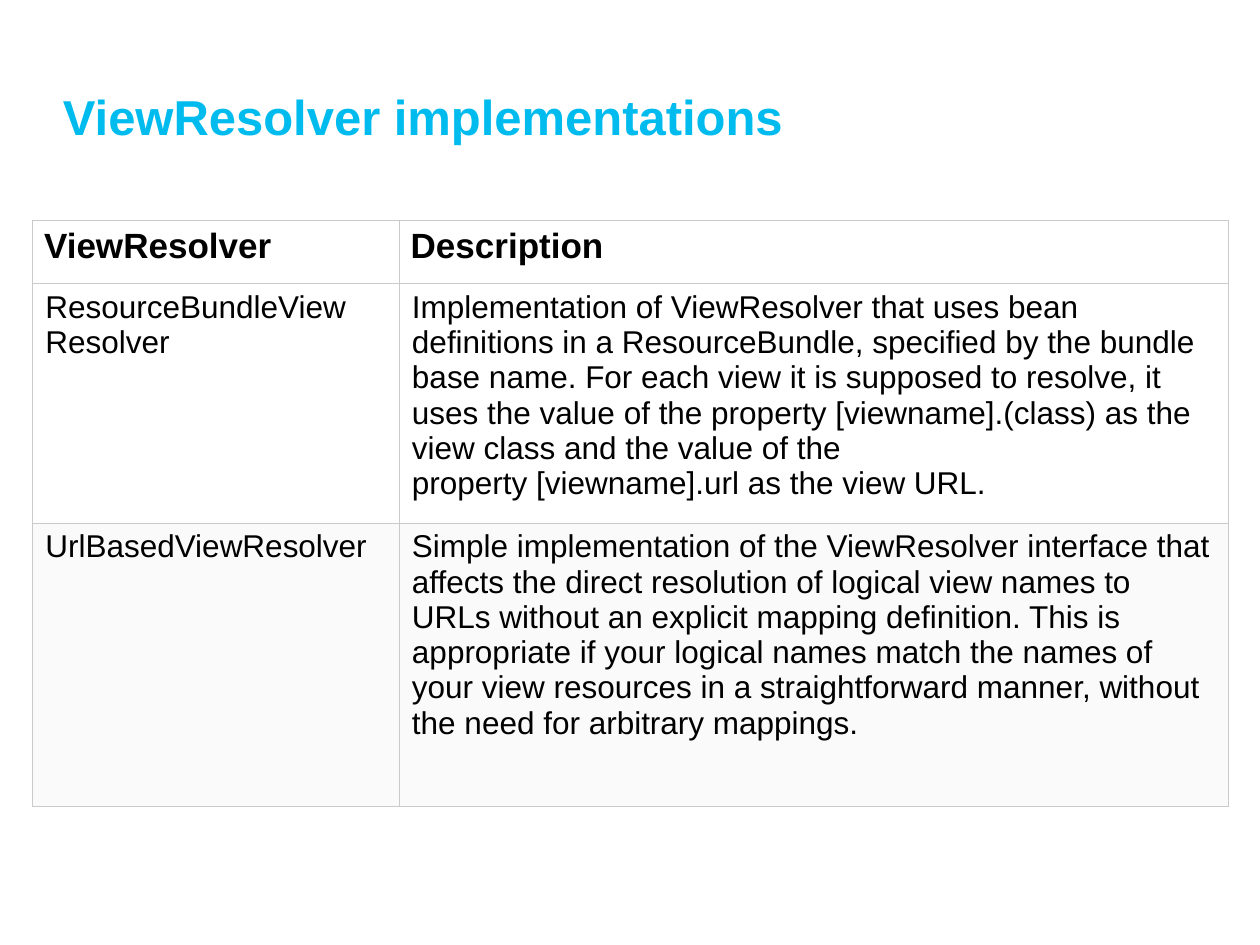
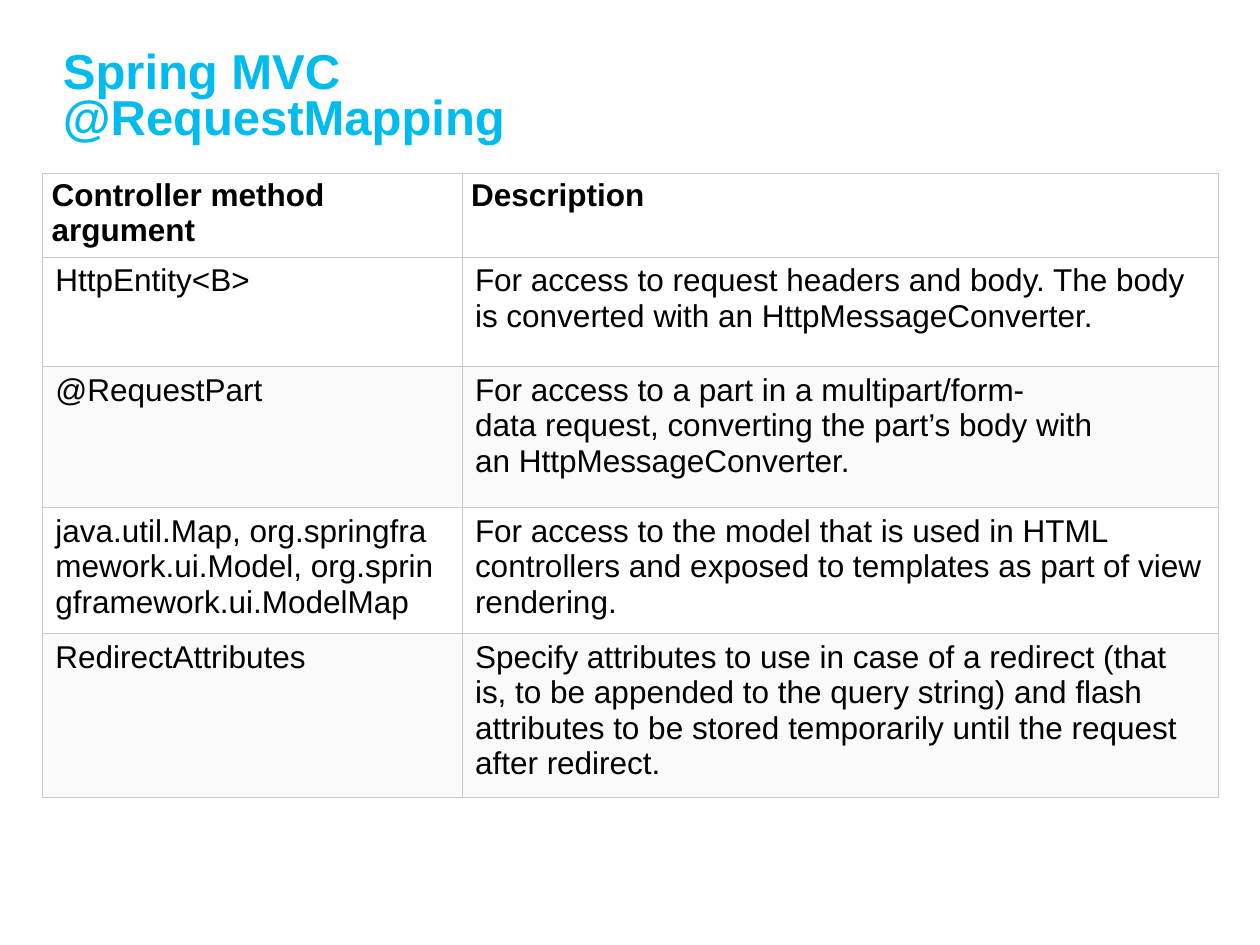
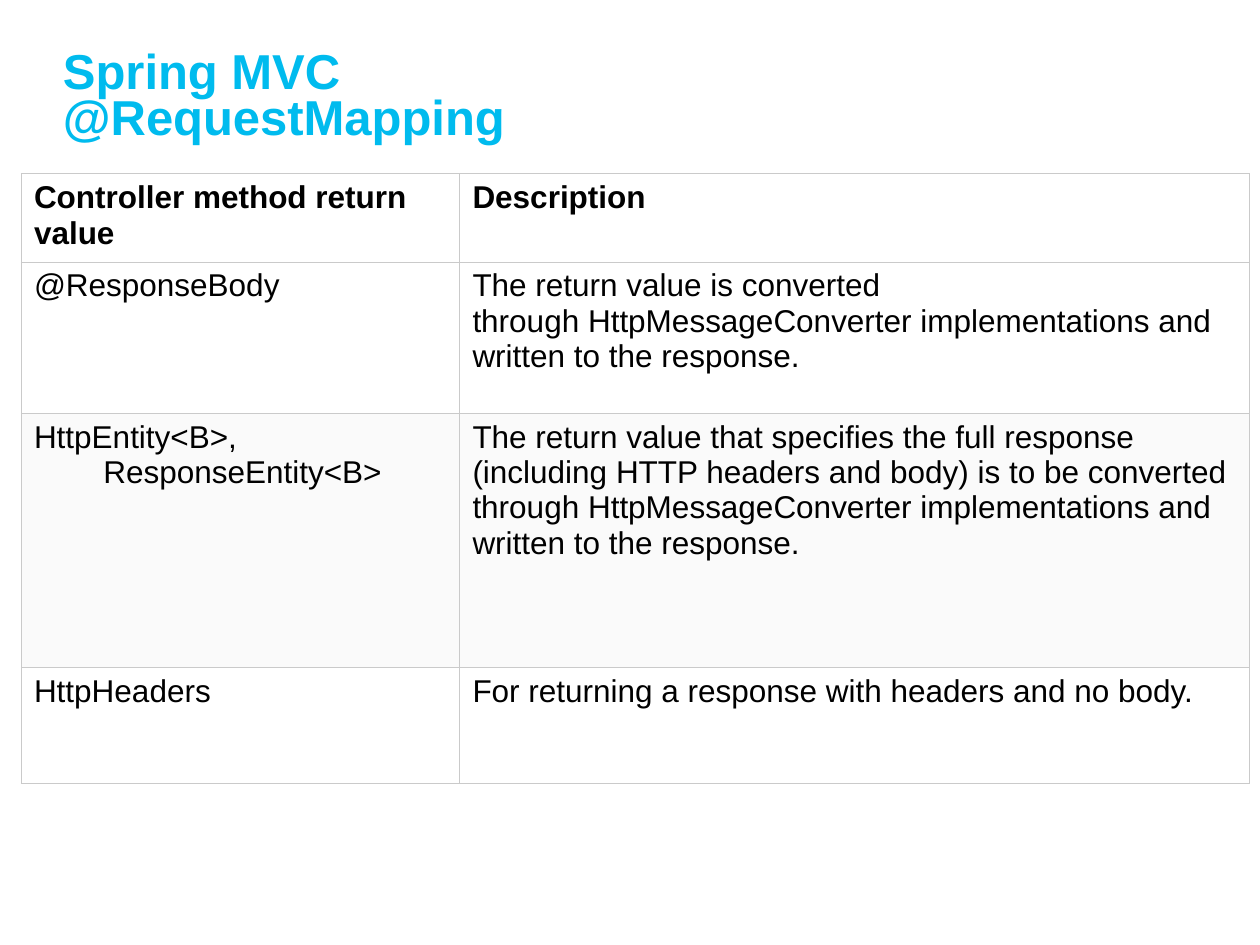
from dataclasses import dataclass

from lxml import etree
from pptx import Presentation
from pptx.dml.color import RGBColor
from pptx.enum.text import MSO_ANCHOR
from pptx.oxml.ns import qn
from pptx.util import Inches, Pt

BOTTOM = MSO_ANCHOR.BOTTOM
BORDER_SIDES = ("a:lnL", "a:lnR", "a:lnT", "a:lnB")
TIE = "~"
NO_BREAK_SPACE = chr(160)


@dataclass(frozen=True)
class Theme:
    font: str = "Arial"
    title_color: str = "00BBEE"
    text_color: str = "000000"
    plain_row: str = "FFFFFF"
    banded_row: str = "FAFAFA"
    border_color: str = "CACACA"
    border_width: float = 0.6
    title_size: int = 28
    title_spacing: int = 26
    body_size: int = 18
    body_margins: tuple = (0.1, 0.05)
    hanging_indent: float = 0.55


THEME = Theme()
SLIDE_SIZE = (10, 7.5)
TITLE_BOX = (0.5, 0.2, 9, 0.95)

SLIDES = [
    {
        "title": "ViewResolver implementations",
        "corner": (0.26, 1.75),
        "columns": (2.91, 6.58),
        "row_heights": (0.5, 1.66, 2.25),
        "header_size": 20,
        "header_margins": (0.09, 0.05),
        "rows": [
            ("ViewResolver", "Description"),
            ("ResourceBundleView Resolver",
             "Implementation of~ViewResolver~that uses bean definitions in a~ResourceBundle, "
             "specified by the bundle base name. For each view it is supposed to resolve, it uses "
             "the value of the property~[viewname].(class)~as the view class and the value of the "
             "property~[viewname].url~as the view URL."),
            ("UrlBasedViewResolver",
             "Simple implementation of the~ViewResolver~interface that affects the direct "
             "resolution of logical view names to URLs without an explicit mapping definition. "
             "This is appropriate if your logical names match the names of your view resources "
             "in a straightforward manner, without the need for arbitrary mappings."),
        ],
    },
    {
        "title": "Spring MVC\v@RequestMapping",
        "corner": (0.34, 1.38),
        "columns": (3.33, 6),
        "row_heights": (0.63, 0.87, 1.12, 0.76, 1.22),
        "header_size": 18,
        "header_margins": (0.07, 0.03),
        "rows": [
            ("Controller method argument", "Description"),
            ("HttpEntity<B>",
             "For access to request headers and body. The body is converted with "
             "an~HttpMessageConverter."),
            ("@RequestPart",
             "For access to a part in a~multipart/form-data~request, converting the part’s body "
             "with an~HttpMessageConverter."),
            ("java.util.Map,~org.springframework.ui.Model,~org.springframework.ui.ModelMap",
             "For access to the model that is used in HTML controllers and exposed to templates "
             "as part of view rendering."),
            ("RedirectAttributes",
             "Specify attributes to use in case of a redirect (that is, to be appended to the "
             "query string) and flash attributes to be stored temporarily until the request "
             "after redirect."),
        ],
    },
    {
        "title": "Spring MVC\v@RequestMapping",
        "corner": (0.17, 1.38),
        "columns": (3.48, 6.27),
        "row_heights": (0.61, 1.2, 2.02, 0.92),
        "header_size": 18,
        "header_margins": THEME.body_margins,
        "rows": [
            ("Controller method return value", "Description"),
            ("@ResponseBody",
             "The return value is converted through~HttpMessageConverter~implementations and "
             "written to the response."),
            ("HttpEntity<B>,\vResponseEntity<B>",
             "The return value that specifies the full response (including HTTP headers and body) "
             "is to be converted through~HttpMessageConverter~implementations and written to the "
             "response."),
            ("HttpHeaders", "For returning a response with headers and no body."),
        ],
    },
]


def style_font(font, size, color, bold):
    font.name = THEME.font
    font.size = Pt(size)
    font.bold = bold
    font.color.rgb = RGBColor.from_string(color)


def add_title(slide, text):
    frame = slide.shapes.add_textbox(*map(Inches, TITLE_BOX)).text_frame
    frame.word_wrap = True
    frame.vertical_anchor = BOTTOM
    frame.margin_left = frame.margin_right = frame.margin_top = frame.margin_bottom = 0
    paragraph = frame.paragraphs[0]
    paragraph.text = text
    paragraph.line_spacing = Pt(THEME.title_spacing)
    style_font(paragraph.font, THEME.title_size, THEME.title_color, True)


def add_borders(cell):
    properties = cell._tc.get_or_add_tcPr()
    for side in BORDER_SIDES:
        line = etree.SubElement(properties, qn(side), w=str(Pt(THEME.border_width)))
        fill = etree.SubElement(line, qn("a:solidFill"))
        etree.SubElement(fill, qn("a:srgbClr"), val=THEME.border_color)


def fill_cell(cell, text, size, bold, margins, background):
    add_borders(cell)
    cell.fill.solid()
    cell.fill.fore_color.rgb = RGBColor.from_string(background)
    cell.margin_left = cell.margin_right = Inches(margins[0])
    cell.margin_top = cell.margin_bottom = Inches(margins[1])
    paragraph = cell.text_frame.paragraphs[0]
    paragraph.text = text.replace(TIE, NO_BREAK_SPACE)
    if "\v" in text:
        indent = Inches(THEME.hanging_indent)
        properties = paragraph._p.get_or_add_pPr()
        properties.set("marL", str(indent))
        properties.set("indent", str(-indent))
    for run in paragraph.runs:
        style_font(run.font, size, THEME.text_color, bold)


def add_reference_table(slide, content):
    columns, heights, rows = content["columns"], content["row_heights"], content["rows"]
    box = (*content["corner"], sum(columns), sum(heights))
    table = slide.shapes.add_table(len(rows), len(columns), *map(Inches, box)).table
    table.horz_banding = False
    for column, width in zip(table.columns, columns):
        column.width = Inches(width)
    for row_index, (row, height, texts) in enumerate(zip(table.rows, heights, rows)):
        row.height = Inches(height)
        is_header = row_index == 0
        size = content["header_size"] if is_header else THEME.body_size
        margins = content["header_margins"] if is_header else THEME.body_margins
        is_banded = not is_header and row_index % 2 == 0
        background = THEME.banded_row if is_banded else THEME.plain_row
        for cell, text in zip(row.cells, texts):
            fill_cell(cell, text, size, is_header, margins, background)


def main():
    presentation = Presentation()
    presentation.slide_width, presentation.slide_height = map(Inches, SLIDE_SIZE)
    blank_layout = presentation.slide_layouts[6]
    for content in SLIDES:
        slide = presentation.slides.add_slide(blank_layout)
        add_title(slide, content["title"])
        add_reference_table(slide, content)
    presentation.save("out.pptx")


if __name__ == "__main__":
    main()
